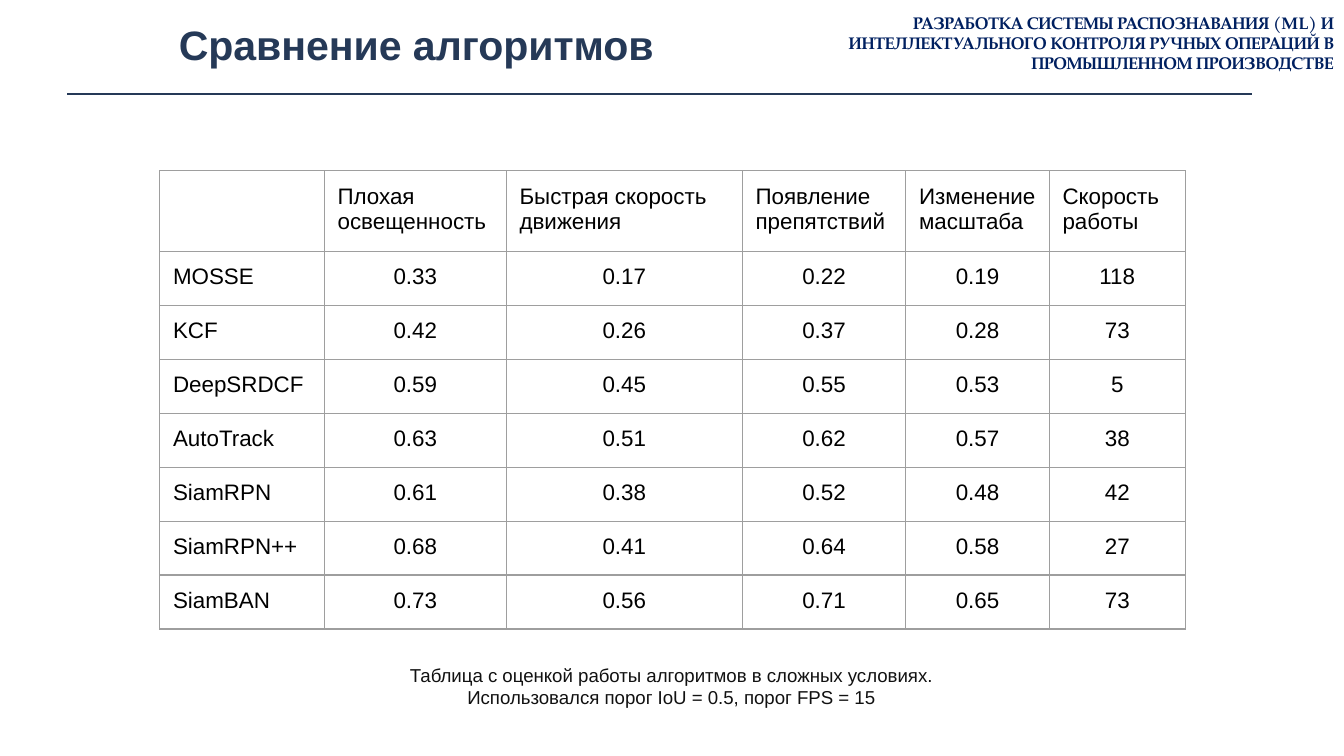
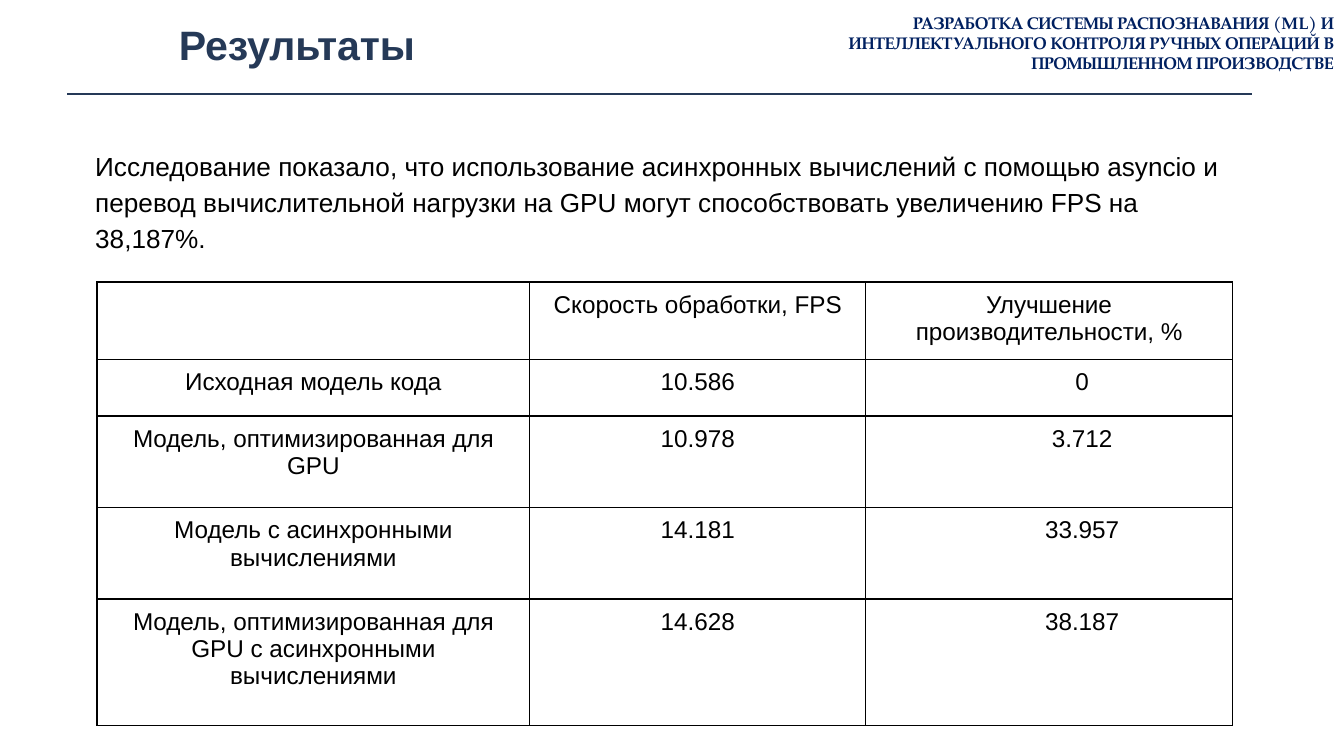
import dataclasses
import typing

import lxml.etree
import pptx
import pptx.dml.color
import pptx.enum.shapes
import pptx.enum.text
import pptx.oxml.ns
import pptx.util

Cm = pptx.util.Cm
Align = pptx.enum.text.PP_ALIGN
Anchor = pptx.enum.text.MSO_ANCHOR
AutoSize = pptx.enum.text.MSO_AUTO_SIZE

COLORS = {
    "title": "253957",
    "project": "002060",
    "text": "000000",
    "caption": "111111",
    "gray_border": "9E9E9E",
    "black_border": "000000",
}
PROJECT = (
    "РАЗРАБОТКА СИСТЕМЫ РАСПОЗНАВАНИЯ (ML) И ИНТЕЛЛЕКТУАЛЬНОГО КОНТРОЛЯ "
    "РУЧНЫХ ОПЕРАЦИЙ В ПРОМЫШЛЕННОМ ПРОИЗВОДСТВЕ"
)


@dataclasses.dataclass(frozen=True)
class TextStyle:
    size: float
    color: str
    bold: bool = False
    font: str = "Arial"
    align: Align = Align.LEFT
    line_spacing: typing.Optional[float] = None
    space_after: float = 0


@dataclasses.dataclass(frozen=True)
class TextBlock:
    left: float
    top: float
    width: float
    height: float
    lines: tuple[str, ...]
    style: TextStyle
    inset: float = 0.25
    anchor: Anchor = Anchor.TOP
    grow: bool = True


@dataclasses.dataclass(frozen=True)
class Grid:
    left: float
    top: float
    columns: tuple[float, ...]
    rows: tuple[float, ...]
    cells: tuple[tuple[str, ...], ...]
    size: float
    inset: float
    border: str
    border_width: float
    align: typing.Callable[[int, int], Align]
    indent: typing.Callable[[int, int], float]


TITLE = TextStyle(22, "title", bold=True)
HEADER = TextStyle(9, "project", bold=True, font="TeX Gyre Pagella", align=Align.RIGHT)
CAPTION = TextStyle(10, "caption", align=Align.CENTER)
BODY = TextStyle(14, "text", line_spacing=1.15, space_after=10)

ALGORITHMS = Grid(
    3.02, 3.23,
    (3.11, 3.44, 4.46, 3.09, 2.71, 2.57),
    (1.52,) + (1.02,) * 7,
    (
        ("", "Плохая освещенность", "Быстрая скорость движения",
         "Появление препятствий", "Изменение масштаба", "Скорость работы"),
        ("MOSSE", "0.33", "0.17", "0.22", "0.19", "118"),
        ("KCF", "0.42", "0.26", "0.37", "0.28", "73"),
        ("DeepSRDCF", "0.59", "0.45", "0.55", "0.53", "5"),
        ("AutoTrack", "0.63", "0.51", "0.62", "0.57", "38"),
        ("SiamRPN", "0.61", "0.38", "0.52", "0.48", "42"),
        ("SiamRPN++", "0.68", "0.41", "0.64", "0.58", "27"),
        ("SiamBAN", "0.73", "0.56", "0.71", "0.65", "73"),
    ),
    size=12, inset=0.25, border="gray_border", border_width=0.75,
    align=lambda row, column: Align.CENTER if row and column else Align.LEFT,
    indent=lambda row, column: 0,
)
RESULTS = Grid(
    1.83, 5.33,
    (8.18, 6.35, 6.93),
    (1.45, 1.07, 1.73, 1.73, 2.39),
    (
        ("", "Скорость обработки, FPS", "Улучшение производительности, %"),
        ("Исходная модель кода", "10.586", "0"),
        ("Модель, оптимизированная для GPU", "10.978", "3.712"),
        ("Модель с асинхронными вычислениями", "14.181", "33.957"),
        ("Модель, оптимизированная для GPU с асинхронными вычислениями",
         "14.628", "38.187"),
    ),
    size=13, inset=0.18, border="black_border", border_width=1,
    align=lambda row, column: Align.CENTER,
    indent=lambda row, column: 1.25 if row and column == 2 else 0,
)


def rgb(name: str) -> pptx.dml.color.RGBColor:
    return pptx.dml.color.RGBColor.from_string(COLORS[name])


def write(para, text: str, style: TextStyle) -> None:
    para.alignment = style.align
    para.space_after = pptx.util.Pt(style.space_after)
    if style.line_spacing:
        para.line_spacing = style.line_spacing
    span = para.add_run()
    span.text = text
    span.font.name = style.font
    span.font.size = pptx.util.Pt(style.size)
    span.font.bold = style.bold
    span.font.color.rgb = rgb(style.color)


def set_margins(target, inset: float) -> None:
    target.margin_left = target.margin_right = Cm(inset)
    target.margin_top = target.margin_bottom = Cm(inset)


def draw_text(page, block: TextBlock) -> None:
    box = page.shapes.add_textbox(
        Cm(block.left), Cm(block.top), Cm(block.width), Cm(block.height)
    )
    frame = box.text_frame
    frame.word_wrap = True
    frame.auto_size = AutoSize.SHAPE_TO_FIT_TEXT if block.grow else AutoSize.NONE
    frame.vertical_anchor = block.anchor
    set_margins(frame, block.inset)
    for index, line in enumerate(block.lines):
        para = frame.add_paragraph() if index else frame.paragraphs[0]
        write(para, line, block.style)


def draw_borders(cell, color: str, width: float) -> None:
    qn = pptx.oxml.ns.qn
    properties = cell._tc.get_or_add_tcPr()
    for side in ("a:lnL", "a:lnR", "a:lnT", "a:lnB"):
        edge = lxml.etree.SubElement(properties, qn(side), w=str(pptx.util.Pt(width)))
        fill = lxml.etree.SubElement(edge, qn("a:solidFill"))
        lxml.etree.SubElement(fill, qn("a:srgbClr"), val=COLORS[color])


def draw_grid(page, grid: Grid) -> None:
    table = page.shapes.add_table(
        len(grid.rows), len(grid.columns), Cm(grid.left), Cm(grid.top),
        Cm(sum(grid.columns)), Cm(sum(grid.rows)),
    ).table
    table.first_row = table.horz_banding = False
    for column, width in zip(table.columns, grid.columns):
        column.width = Cm(width)
    for row, height in zip(table.rows, grid.rows):
        row.height = Cm(height)
    for row, texts in enumerate(grid.cells):
        for column, text in enumerate(texts):
            cell = table.cell(row, column)
            set_margins(cell, grid.inset)
            draw_borders(cell, grid.border, grid.border_width)
            cell.fill.background()
            para = cell.text_frame.paragraphs[0]
            indent = grid.indent(row, column)
            if indent:
                para._p.get_or_add_pPr().set("indent", str(Cm(indent)))
            if text:
                write(para, text, TextStyle(grid.size, "text", align=grid.align(row, column)))


def add_page(deck, title: str, title_width: float):
    page = deck.slides.add_slide(deck.slide_layouts[6])
    rule = page.shapes.add_connector(
        pptx.enum.shapes.MSO_CONNECTOR.STRAIGHT, Cm(1.27), Cm(1.78), Cm(23.67), Cm(1.78)
    )
    rule.line.color.rgb = rgb("title")
    rule.line.width = pptx.util.Pt(1)
    lxml.etree.SubElement(rule._element.spPr, pptx.oxml.ns.qn("a:effectLst"))
    draw_text(page, TextBlock(3.3, 0.28, title_width, 1.09, (title,), TITLE,
                              inset=0.08, grow=False))
    draw_text(page, TextBlock(15.19, 0.03, 10.21, 1.55, (PROJECT,), HEADER,
                              inset=0.2, anchor=Anchor.MIDDLE))
    return page


def main() -> None:
    deck = pptx.Presentation()
    deck.slide_width, deck.slide_height = Cm(25.4), Cm(14.29)

    page = add_page(deck, "Сравнение алгоритмов", 12.22)
    draw_grid(page, ALGORITHMS)
    draw_text(page, TextBlock(4.06, 12.29, 17.25, 1.37, (
        "Таблица с оценкой работы алгоритмов в сложных условиях.",
        "Использовался порог IoU = 0.5, порог FPS = 15",
    ), CAPTION))

    page = add_page(deck, "Результаты", 16.74)
    draw_text(page, TextBlock(1.55, 2.51, 22.4, 2.49, (
        "Исследование показало, что использование асинхронных вычислений "
        "с помощью asyncio и перевод вычислительной нагрузки на GPU могут "
        "способствовать увеличению FPS на 38,187%.",
    ), BODY))
    draw_grid(page, RESULTS)

    deck.save("out.pptx")


if __name__ == "__main__":
    main()
